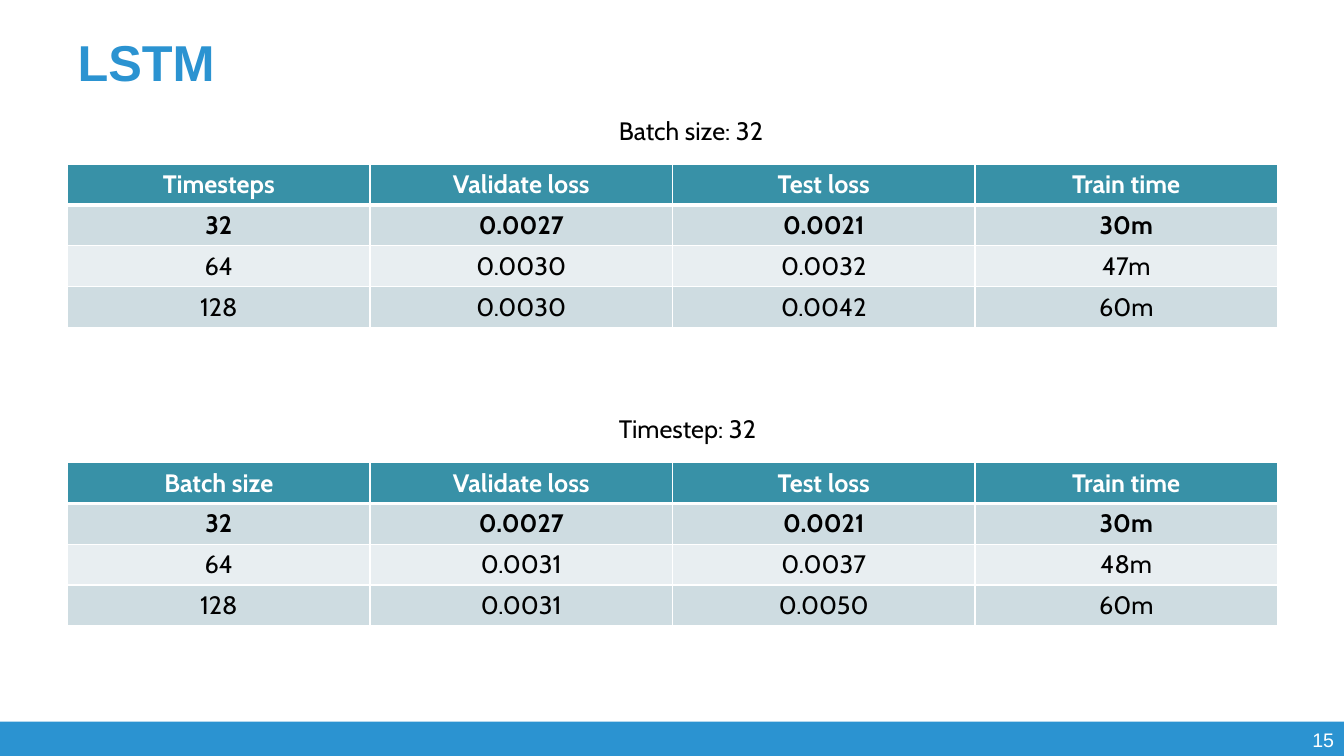
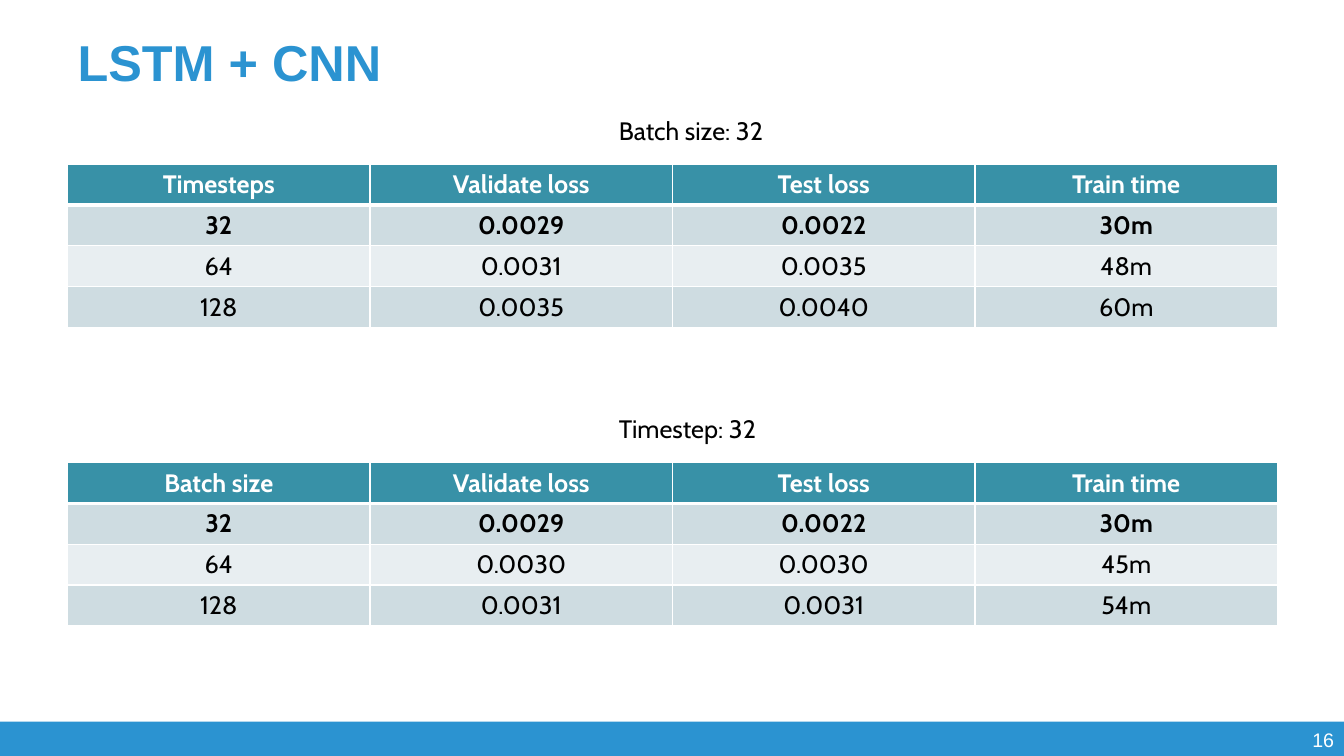
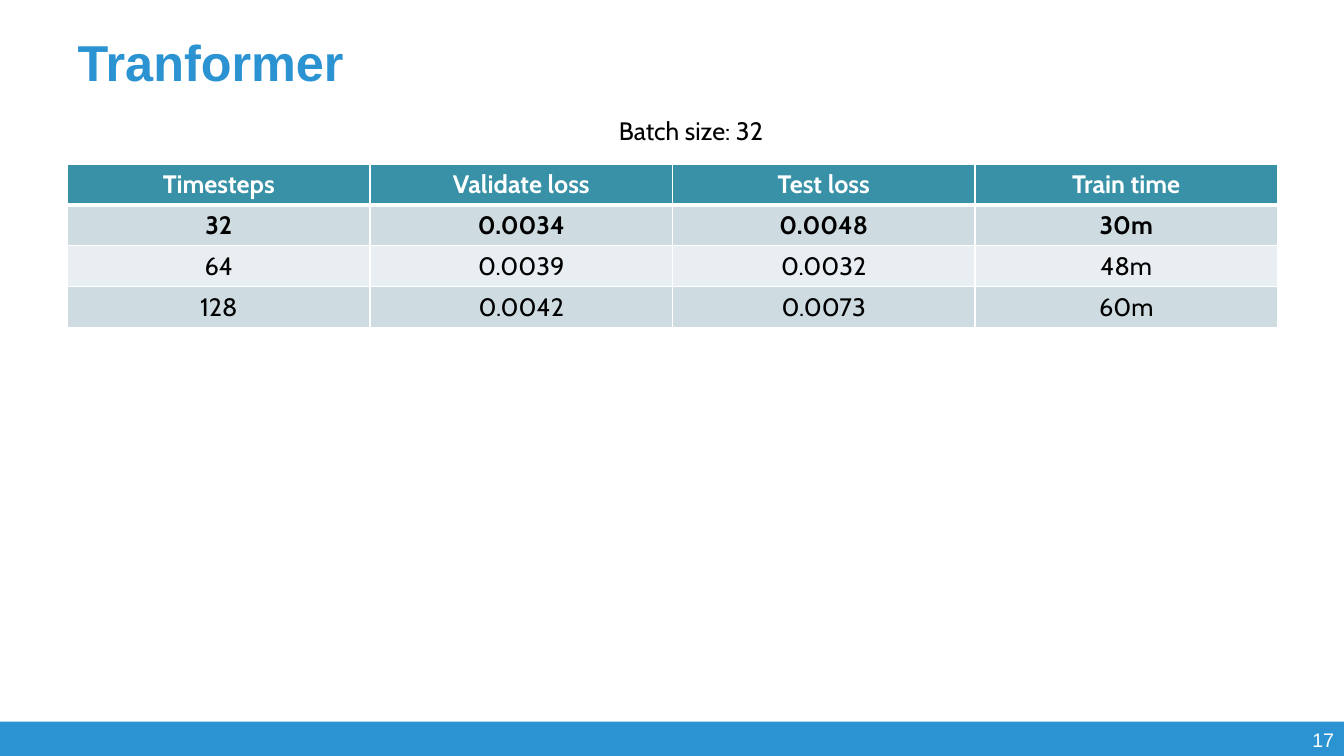
from lxml import etree
from pptx import Presentation
from pptx.dml.color import RGBColor
from pptx.enum import shapes, text
from pptx.oxml import ns
from pptx.util import Inches, Pt

BLUE, TEAL = "2B93D1", "3891A7"
WHITE, BLACK = "FFFFFF", "000000"
BANDS = ("CEDCE1", "E8EEF1")
TITLE_FONT, BODY_FONT = "Arial", "Cabin"

SLIDE_WIDTH, SLIDE_HEIGHT = 13.33, 7.5
MARGIN, CONTENT_WIDTH = 0.67, 12
FOOTER_TOP = 7.16
FIRST_NUMBER = 15
TABLE_HEIGHT = 1.62
CAPTION_RISE = 0.54
TABLE_TOPS = (1.63, 4.59)
CAPTIONS = ("Batch size: 32", "Timestep: 32")
VARIED = ("Timesteps", "Batch size")
MEASURES = ("Validate loss", "Test loss", "Train time")
SETTINGS = ("32", "64", "128")

# Each slide has a title and, for each table, one row of measures per setting.
RESULTS = [
    ("LSTM", [
        [("0.0027", "0.0021", "30m"), ("0.0030", "0.0032", "47m"), ("0.0030", "0.0042", "60m")],
        [("0.0027", "0.0021", "30m"), ("0.0031", "0.0037", "48m"), ("0.0031", "0.0050", "60m")],
    ]),
    ("LSTM + CNN", [
        [("0.0029", "0.0022", "30m"), ("0.0031", "0.0035", "48m"), ("0.0035", "0.0040", "60m")],
        [("0.0029", "0.0022", "30m"), ("0.0030", "0.0030", "45m"), ("0.0031", "0.0031", "54m")],
    ]),
    ("Tranformer", [
        [("0.0034", "0.0048", "30m"), ("0.0039", "0.0032", "48m"), ("0.0042", "0.0073", "60m")],
    ]),
]


def color(value):
    return RGBColor.from_string(value)


def write(frame, words, *, size=18, font=BODY_FONT, ink=BLACK, bold=False,
          align=text.PP_ALIGN.LEFT):
    """Put one formatted line of text into a text frame."""
    para = frame.paragraphs[0]
    para.alignment = align
    span = para.add_run()
    span.text = words
    span.font.size = Pt(size)
    span.font.name = font
    span.font.bold = bold
    span.font.color.rgb = color(ink)


def add_text(page, words, left, top, width, height, **style):
    box = page.shapes.add_textbox(Inches(left), Inches(top), Inches(width), Inches(height))
    box.text_frame.word_wrap = True
    write(box.text_frame, words, **style)


def add_title(page, words):
    title = page.shapes.title
    title.left, title.top = Inches(MARGIN), Inches(0.22)
    title.width, title.height = Inches(CONTENT_WIDTH), Inches(0.77)
    title.text_frame.vertical_anchor = text.MSO_ANCHOR.MIDDLE
    write(title.text_frame, words, size=36, font=TITLE_FONT, ink=BLUE, bold=True)


def add_footer(page, number):
    band = page.shapes.add_shape(
        shapes.MSO_SHAPE.RECTANGLE, 0, Inches(FOOTER_TOP),
        Inches(SLIDE_WIDTH), Inches(SLIDE_HEIGHT - FOOTER_TOP))
    band.shadow.inherit = False
    band.fill.solid()
    band.fill.fore_color.rgb = color(BLUE)
    band.line.fill.background()
    add_text(page, str(number), 11.44, 7.17, 1.89, 0.33, size=14, font=TITLE_FONT,
             ink=WHITE, align=text.PP_ALIGN.RIGHT)


def set_borders(cell, top, bottom):
    """Draw white cell edges: 1 pt at the sides, given widths above and below."""
    properties = cell._tc.get_or_add_tcPr()
    edges = (("L", 1), ("R", 1), ("T", top), ("B", bottom))
    for position, (side, width) in enumerate(edges):
        line = etree.Element(ns.qn(f"a:ln{side}"), w=str(Pt(width)))
        fill = etree.SubElement(line, ns.qn("a:solidFill"))
        etree.SubElement(fill, ns.qn("a:srgbClr"), val=WHITE)
        properties.insert(position, line)


def add_result_table(page, top, rows):
    """Add a table with a header row and its best result, the first, in bold."""
    table = page.shapes.add_table(
        len(rows), len(rows[0]), Inches(MARGIN), Inches(top),
        Inches(CONTENT_WIDTH), Inches(TABLE_HEIGHT)).table
    for row, values in enumerate(rows):
        header = row == 0
        for column, value in enumerate(values):
            cell = table.cell(row, column)
            cell.fill.solid()
            cell.fill.fore_color.rgb = color(TEAL if header else BANDS[(row - 1) % 2])
            set_borders(cell, top=3 if row == 1 else 1, bottom=3 if header else 1)
            write(cell.text_frame, value, ink=WHITE if header else BLACK,
                  bold=row <= 1, align=text.PP_ALIGN.CENTER)


def add_result_slide(deck, number, title, tables):
    page = deck.slides.add_slide(deck.slide_layouts.get_by_name("Title Only"))
    add_footer(page, number)
    add_title(page, title)
    for top, caption, varied, results in zip(TABLE_TOPS, CAPTIONS, VARIED, tables):
        add_text(page, caption, 6.04, top - CAPTION_RISE, 2.26, 0.4)
        body = [(setting, *measures) for setting, measures in zip(SETTINGS, results)]
        add_result_table(page, top, [(varied, *MEASURES), *body])


def main():
    deck = Presentation()
    deck.slide_width, deck.slide_height = Inches(SLIDE_WIDTH), Inches(SLIDE_HEIGHT)
    for number, (title, tables) in enumerate(RESULTS, FIRST_NUMBER):
        add_result_slide(deck, number, title, tables)
    deck.save("out.pptx")


if __name__ == "__main__":
    main()
